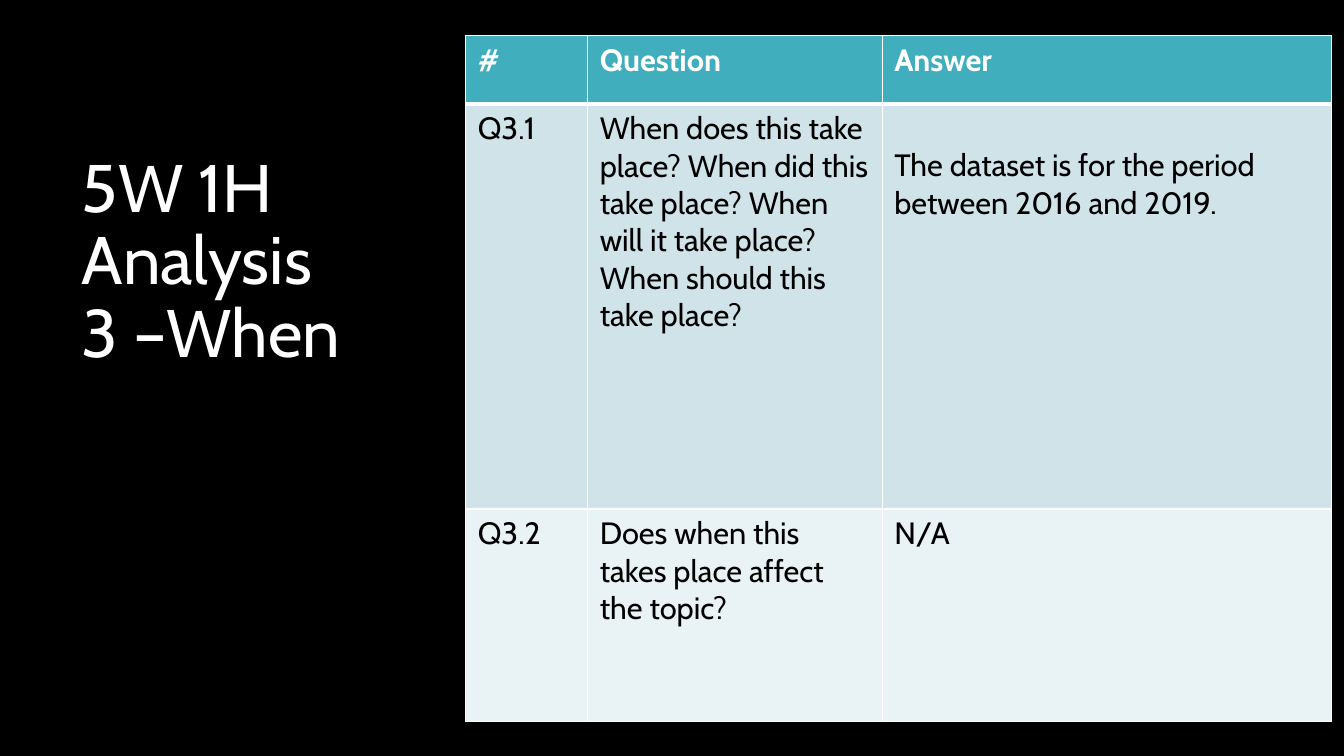
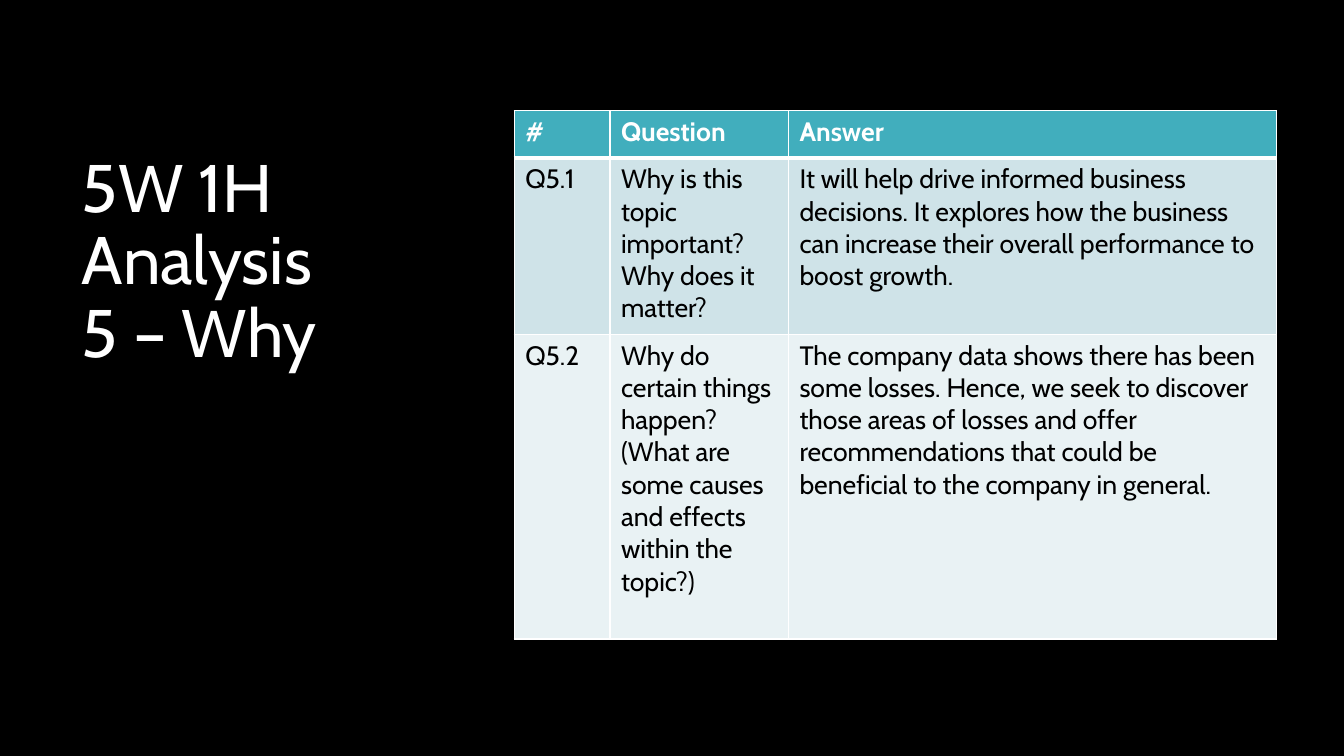
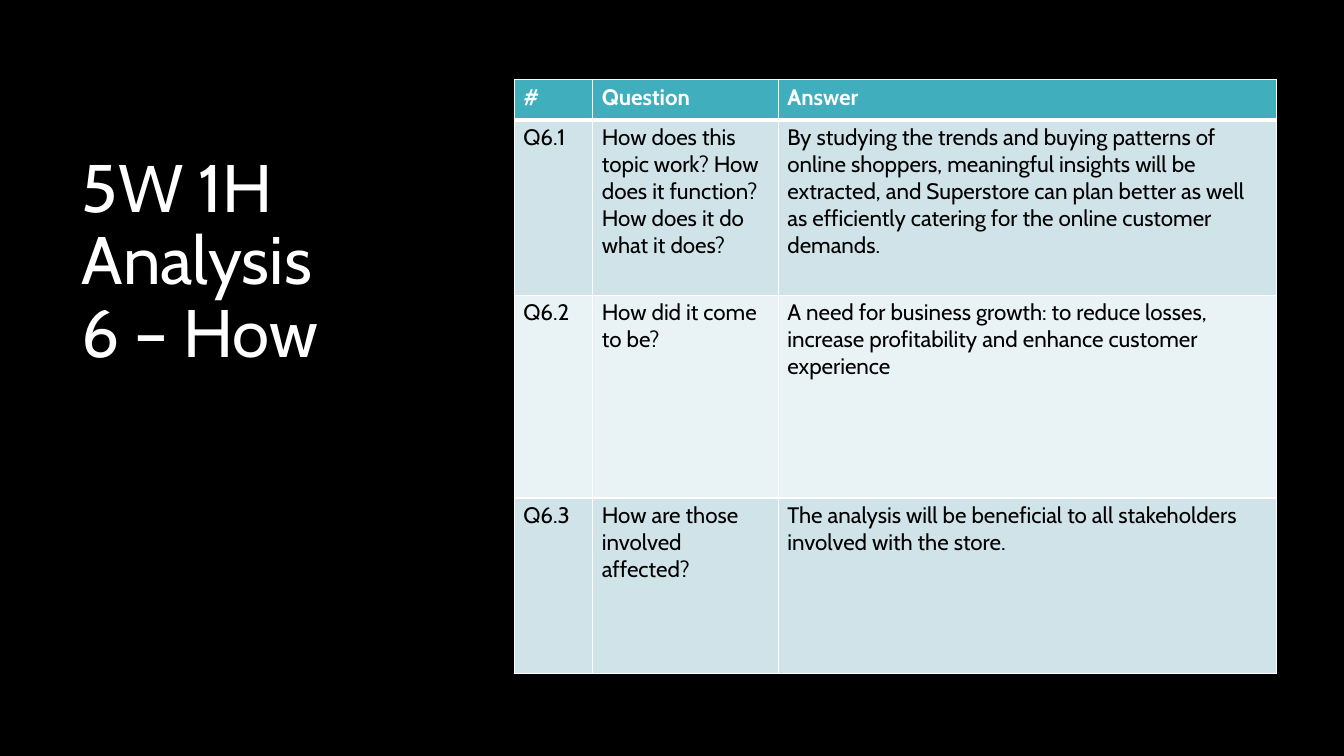
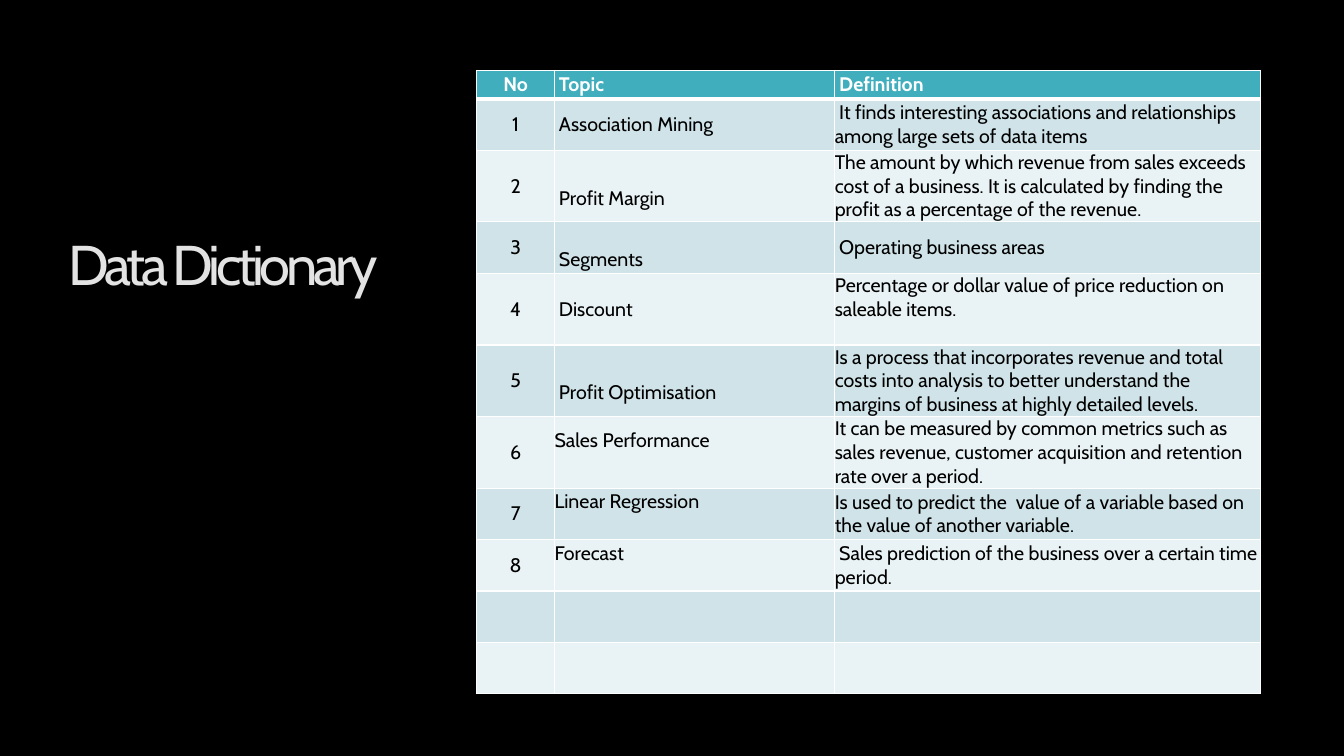
from lxml.etree import SubElement
from pptx import Presentation
from pptx.dml.color import RGBColor as RGB
from pptx.enum.shapes import MSO_SHAPE as SHAPE
from pptx.enum.text import MSO_ANCHOR as ANCHOR, MSO_AUTO_SIZE as FIT, PP_ALIGN as ALIGN
from pptx.oxml.ns import qn
from pptx.util import Inches, Pt

COLORS = {
    "black": "000000",
    "white": "FFFFFF",
    "pale": "E3E3E3",
    "teal": "41AEBD",
    "odd": "CFE3E8",
    "even": "E9F2F4",
}
FONT = "Cabin"
WIDTH, HEIGHT, SIDE = 13.33, 7.5, 4.45
HEAD = ["#", "Question", "Answer"]


def color(name):
    return RGB.from_string(COLORS[name])


class Deck:
    def __init__(self):
        self.prs = Presentation()
        self.prs.slide_width = Inches(WIDTH)
        self.prs.slide_height = Inches(HEIGHT)
        back = self.prs.slide_master.background.fill
        back.solid()
        back.fore_color.rgb = color("black")
        self.slide = None

    def add(self):
        self.slide = self.prs.slides.add_slide(self.prs.slide_layouts[5])

    def style(self, para, size, tone, bold=False):
        font = para.font
        font.name, font.size, font.bold = FONT, Pt(size), bold
        font.color.rgb = color(tone)

    def panel(self, left, width, alpha=100):
        shape = self.slide.shapes.add_shape(
            SHAPE.RECTANGLE, Inches(left), 0, Inches(width), Inches(HEIGHT))
        shape.shadow.inherit = False
        shape.line.fill.background()
        shape.fill.solid()
        shape.fill.fore_color.rgb = color("black")
        if alpha < 100:
            tint = shape.fill._xPr.find(qn("a:solidFill"))[0]
            SubElement(tint, qn("a:alpha")).set("val", str(alpha * 1000))

    def title(self, text, box, size, tone, align=ALIGN.LEFT, right=0.1, track=0):
        """Fill the title and bring it to the front; track is in points."""
        shape = self.slide.shapes.title
        shape.left, shape.top, shape.width, shape.height = map(Inches, box)
        self.slide.shapes._spTree.append(shape._element)
        frame = shape.text_frame
        frame.word_wrap, frame.auto_size = True, FIT.NONE
        frame.vertical_anchor = ANCHOR.TOP
        frame.margin_right = Inches(right)
        para = frame.paragraphs[0]
        para.text = text
        para.alignment, para.line_spacing = align, 0.9
        self.style(para, size, tone)
        if track:
            para._p.pPr.find(qn("a:defRPr")).set("spc", str(track * 100))

    def edges(self, cell, top, bottom):
        props = cell._tc.get_or_add_tcPr()
        for side, width in zip("LRTB", (1, 1, top, bottom)):
            line = SubElement(props, qn("a:ln" + side), w=str(Pt(width)))
            fill = SubElement(line, qn("a:solidFill"))
            SubElement(fill, qn("a:srgbClr"), val=COLORS["white"])

    def cell(self, cell, item, row, size, pad):
        """Fill one cell; item is a text, or a text with extra top and bottom."""
        text, above, below = item if isinstance(item, tuple) else (item, 0, 0)
        side, edge = pad
        cell.margin_left = cell.margin_right = Inches(side)
        cell.margin_top = Inches(edge + above)
        cell.margin_bottom = Inches(edge + below)
        self.edges(cell, 3 if row == 1 else 1, 3 if row == 0 else 1)
        cell.fill.solid()
        tone = "teal" if row == 0 else "odd" if row % 2 else "even"
        cell.fill.fore_color.rgb = color(tone)
        para = cell.text_frame.paragraphs[0]
        para.text = text
        self.style(para, size, "black" if row else "white", row == 0)

    def table(self, spot, cols, rows, data, size, pad, middle=False):
        """Draw a table; middle centres cells upright and the first column across."""
        left, top = spot
        table = self.slide.shapes.add_table(
            len(rows), len(cols), Inches(left), Inches(top),
            Inches(sum(cols)), Inches(sum(rows))).table
        table.first_row = table.horz_banding = False
        for col, width in zip(table.columns, cols):
            col.width = Inches(width)
        for r, (height, items) in enumerate(zip(rows, data)):
            table.rows[r].height = Inches(height)
            for c, item in enumerate(items):
                cell = table.cell(r, c)
                self.cell(cell, item, r, size, pad)
                if middle:
                    cell.vertical_anchor = ANCHOR.MIDDLE
                    if c == 0:
                        cell.text_frame.paragraphs[0].alignment = ALIGN.CENTER

    def query(self, topic, spot, cols, rows, data, size, pad):
        """Add a slide of questions and answers."""
        self.add()
        self.panel(SIDE, WIDTH - SIDE, alpha=20)
        self.panel(0, SIDE)
        self.title("5W 1H Analysis\v" + topic, (0.71, 1.48, 3.21, 4.87), 48, "white")
        self.table(spot, cols, rows, [HEAD] + data, size, pad)


def main():
    deck = Deck()
    deck.query("3 –When", (4.62, 0.35), [1.21, 2.92, 4.46], [0.68, 4.02, 2.11], [
        ["Q3.1",
         "When does this take place? When did this take place? "
         "When will it take place? When should this take place?",
         ("The dataset is for the period between 2016 and 2019.", 0.37, 0)],
        ["Q3.2", "Does when this takes place affect the topic?", "N/A"],
    ], 22, (0.12, 0.06))

    deck.query("5 – Why", (5.1, 1.1), [0.95, 1.77, 4.84], [0.47, 1.75, 3.02], [
        ["Q5.1", "Why is this topic important? Why does it matter?",
         "It will help drive informed business decisions. It explores how the "
         "business can increase their overall performance to boost growth."],
        ["Q5.2",
         "Why do certain things happen? (What are some causes and effects "
         "within the topic?)",
         "The company data shows there has been some losses. Hence, we seek to "
         "discover those areas of losses and offer recommendations that could "
         "be beneficial to the company in general."],
    ], 19, (0.11, 0.05))

    deck.query("6 – How", (5.1, 0.79), [0.78, 1.84, 4.94], [0.4, 1.74, 2.01, 1.74], [
        ["Q6.1",
         "How does this topic work? How does it function? How does it do what it does?",
         "By studying the trends and buying patterns of online shoppers, "
         "meaningful insights will be extracted, and Superstore can plan better "
         "as well as efficiently catering for the online customer demands."],
        ["Q6.2", "How did it come to be?",
         "A need for business growth: to reduce losses, increase profitability "
         "and enhance customer experience"],
        ["Q6.3", "How are those involved affected?",
         "The analysis will be beneficial to all stakeholders involved with the store."],
    ], 16, (0.09, 0.04))

    deck.add()
    deck.title("Data Dictionary", (0.31, 2.3, 3.65, 3.4), 40, "pale",
               ALIGN.RIGHT, right=0.21, track=-3)
    line, low, tall = 0.24, 0.51, 0.71
    terms = [
        (" Association Mining",
         " It finds interesting associations and relationships among large sets "
         "of data items"),
        ((" Profit Margin", line, 0),
         "The amount by which revenue from sales exceeds cost of a business. It is "
         "calculated by finding the profit as a percentage of the revenue."),
        ((" Segments", line, 0), " Operating business areas"),
        (" Discount",
         ("Percentage or dollar value of price reduction on saleable items.", 0, line)),
        ((" Profit Optimisation", line, 0),
         "Is a process that incorporates revenue and total costs into analysis to "
         "better understand the margins of business at highly detailed levels."),
        (("Sales Performance", 0, line),
         "It can be measured by common metrics such as sales revenue, customer "
         "acquisition and retention rate over a period."),
        (("Linear Regression", 0, line),
         "Is used to predict the  value of a variable based on the value of "
         "another variable."),
        (("Forecast", 0, line),
         " Sales prediction of the business over a certain time period."),
    ]
    data = [["No", " Topic", " Definition"]]
    data += [[str(n), *term] for n, term in enumerate(terms, 1)]
    data += [[""] * 3] * 2
    rows = [0.28, low, tall, low, tall, tall, tall] + [low] * 4
    deck.table((4.73, 0.7), [0.77, 2.78, 4.22], rows, data, 14, (0, 0), middle=True)

    deck.prs.save("out.pptx")


if __name__ == "__main__":
    main()
